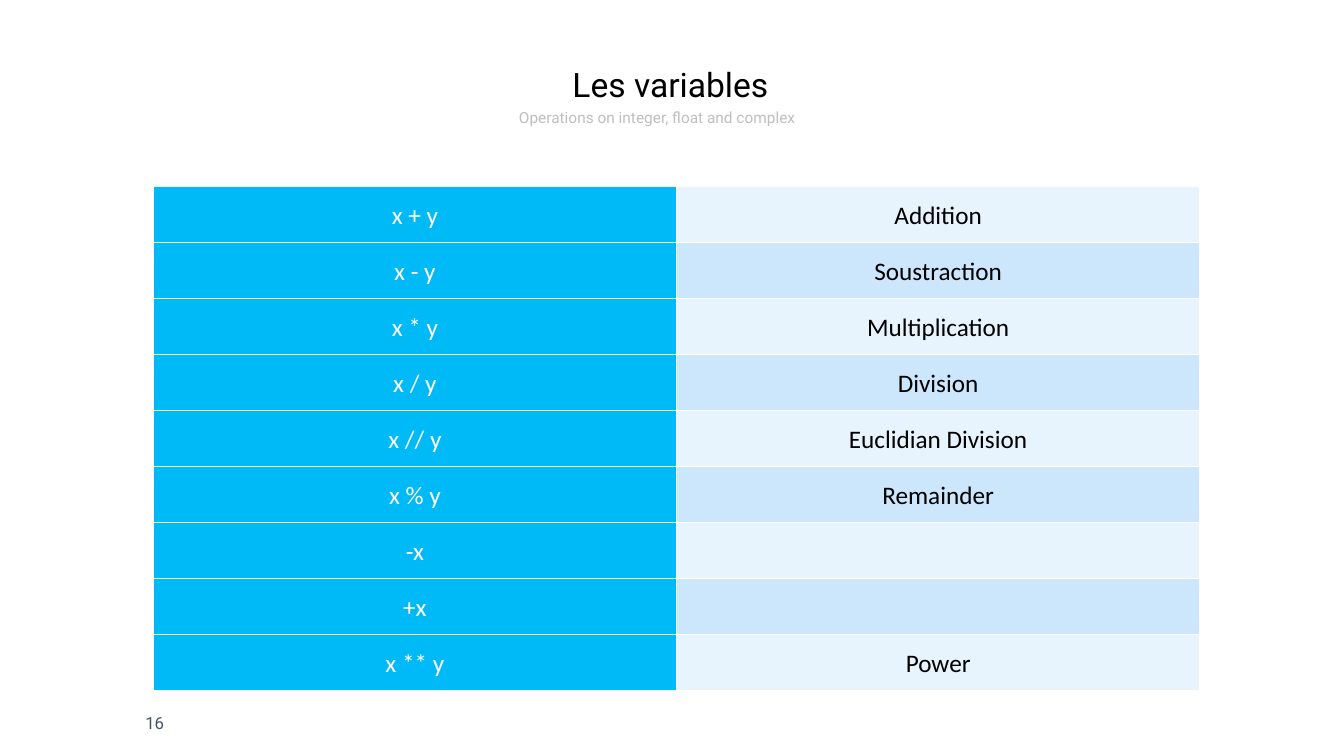
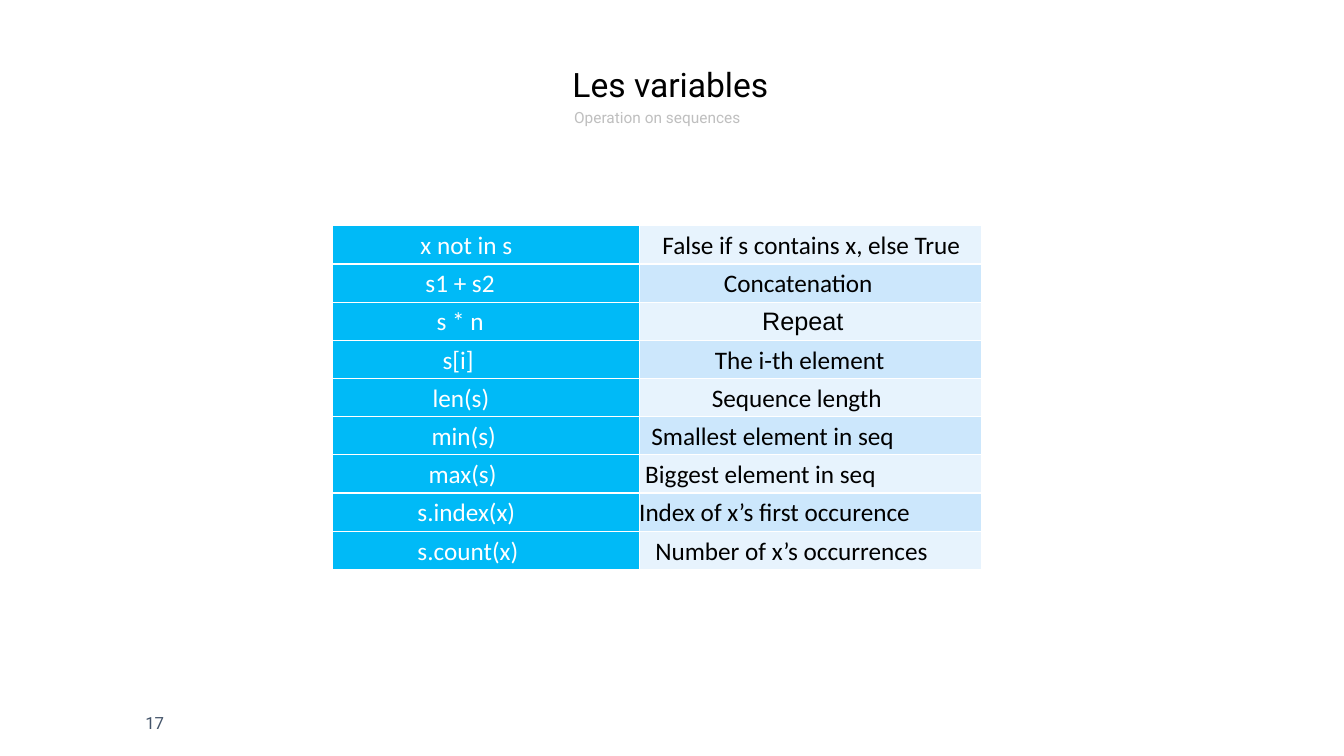
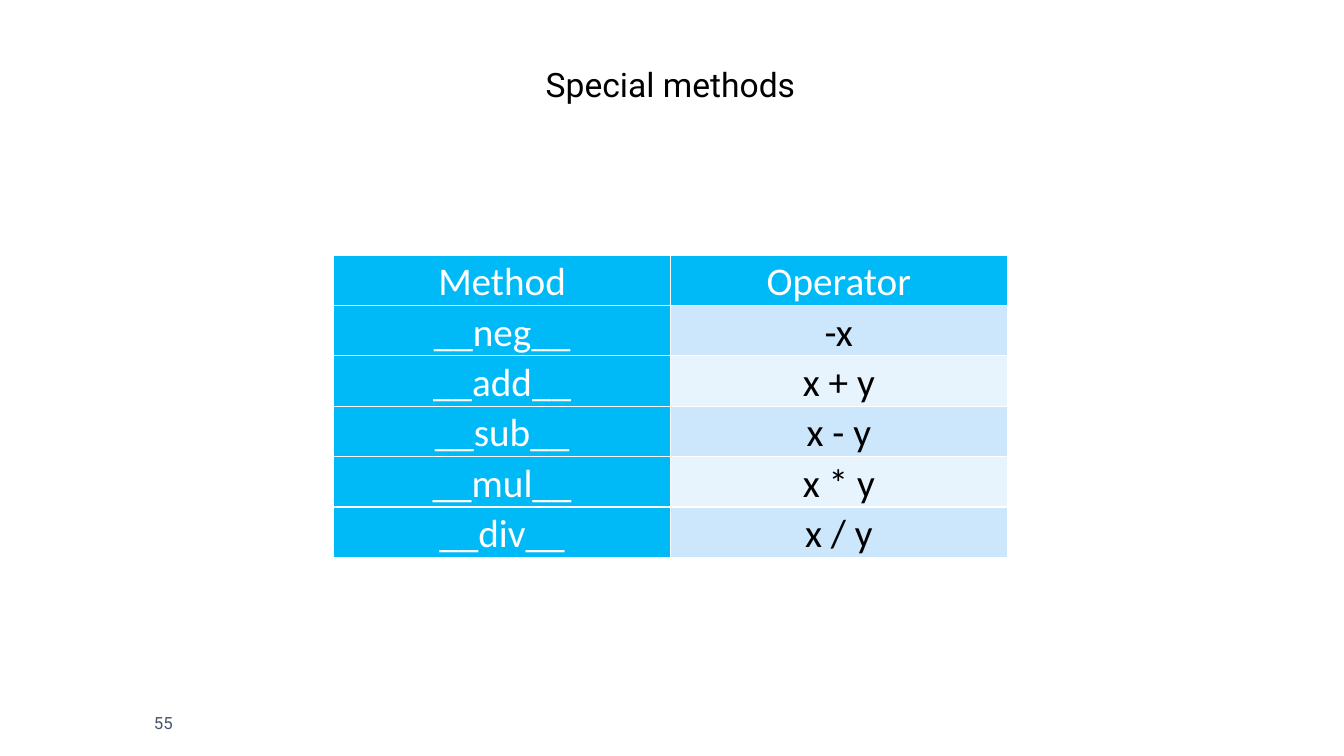
from lxml import etree
from pptx import Presentation
from pptx.dml.color import RGBColor
from pptx.enum.shapes import MSO_SHAPE as Shape
from pptx.enum.text import MSO_ANCHOR as Anchor, PP_ALIGN as Align
from pptx.oxml.ns import qn
from pptx.util import Inches, Pt

# Shared style
WHITE, BLACK = "FFFFFF", "000000"
ACCENT, BANDS = "00BAF7", ("E7F3FD", "CCE7FC")
SUBTITLE_GREY, NUMBER_BLUE = "BFBFBF", "44546A"
HEADING_FONT, TABLE_FONT = "Roboto", "Calibri"


def style(paragraph, font, size, color, align=Align.CENTER):
    paragraph.alignment = align
    paragraph.font.name = font
    paragraph.font.size = Pt(size)
    paragraph.font.color.rgb = RGBColor.from_string(color)


def outline(cell, color):
    properties = cell._tc.get_or_add_tcPr()
    for side in ("a:lnL", "a:lnR", "a:lnT", "a:lnB"):
        line = etree.SubElement(properties, qn(side), w=str(Pt(1)))
        fill = etree.SubElement(line, qn("a:solidFill"))
        etree.SubElement(fill, qn("a:srgbClr"), val=color)


# Content; "indents" gives the left indent of each cell of a left-aligned table
pages = [
    dict(
        title="Les variables", subtitle="Operations on integer, float and complex",
        number="16", number_width=0.55, header=False, size=18,
        left=1.52, top=1.85, columns=(5.19, 5.19), height=5, indents=None,
        rows=[
            ("x + y", "Addition"),
            ("x - y", "Soustraction"),
            ("x * y", "Multiplication"),
            ("x / y", "Division"),
            ("x // y", "Euclidian Division"),
            ("x % y", "Remainder"),
            ("-x", ""),
            ("+x", ""),
            ("x ** y", "Power"),
        ],
    ),
    dict(
        title="Les variables", subtitle="Operation on sequences",
        number="17", number_width=0.55, header=False, size=18,
        left=3.3, top=2.24, columns=(3.04, 3.4), height=3.41,
        indents=[(0.87, 0.23), (0.92, 0.84), (1.03, 1.22), (1.09, 0.75), (0.99, 0.72),
                 (0.98, 0.12), (0.95, 0.06), (0.84, 0), (0.84, 0.16)],
        rows=[
            ("x not in s", "False if s contains x, else True"),
            ("s1 + s2", "Concatenation"),
            ("s * n", "Repeat"),
            ("s[i]", "The i-th element"),
            ("len(s)", "Sequence length"),
            ("min(s)", "Smallest element in seq"),
            ("max(s)", "Biggest element in seq"),
            ("s.index(x)", "Index of x’s first occurence"),
            ("s.count(x)", "Number of x’s occurrences"),
        ],
    ),
    dict(
        title="Special methods", subtitle=None,
        number="55", number_width=0.72, header=True, size=28,
        left=3.31, top=2.53, columns=(3.34, 3.34), height=2.85, indents=None,
        rows=[
            ("Method", "Operator"),
            ("__neg__", "-x"),
            ("__add__", "x + y"),
            ("__sub__", "x - y"),
            ("__mul__", "x * y"),
            ("__div__", "x / y"),
        ],
    ),
]

deck = Presentation()
deck.slide_width, deck.slide_height = Inches(13.33), Inches(7.5)

for page in pages:
    slide = deck.slides.add_slide(deck.slide_layouts[5])

    # Footer plate behind the page number
    plate = slide.shapes.add_shape(
        Shape.RECTANGLE, Inches(0.53), Inches(6.74), Inches(2.93), Inches(0.77))
    plate.shadow.inherit = False
    plate.fill.solid()
    plate.fill.fore_color.rgb = RGBColor.from_string(WHITE)
    plate.line.color.rgb = RGBColor.from_string(WHITE)
    plate.line.width = Pt(1)

    # Title
    title = slide.shapes.title
    title.left, title.top = Inches(3.95), Inches(0.38)
    title.width, title.height = Inches(5.4), Inches(0.63)
    title.text_frame.text = page["title"]
    title.text_frame.vertical_anchor = Anchor.TOP
    heading = title.text_frame.paragraphs[0]
    heading.line_spacing = 1.5
    style(heading, HEADING_FONT, 24, BLACK)

    # Subtitle
    if page["subtitle"]:
        subtitle = slide.shapes.add_textbox(
            Inches(3.95), Inches(0.9), Inches(5.14), Inches(0.53)).text_frame
        subtitle.word_wrap = True
        subtitle.vertical_anchor = Anchor.MIDDLE
        subtitle.text = page["subtitle"]
        style(subtitle.paragraphs[0], HEADING_FONT, 11, SUBTITLE_GREY)

    # Page number
    number = slide.shapes.add_textbox(
        Inches(1.26), Inches(7.02), Inches(page["number_width"]), Inches(0.3)).text_frame
    number.word_wrap = True
    number.text = page["number"]
    style(number.paragraphs[0], HEADING_FONT, 12, NUMBER_BLUE)

    # Table
    rows, indents = page["rows"], page["indents"]
    table = slide.shapes.add_table(
        len(rows), 2, Inches(page["left"]), Inches(page["top"]),
        Inches(sum(page["columns"])), Inches(page["height"])).table
    table.first_row, table.first_col = page["header"], True
    table.horz_banding = False
    for column, width in zip(table.columns, page["columns"]):
        column.width = Inches(width)

    for r, row in enumerate(rows):
        for c, text in enumerate(row):
            accented = c == 0 or (page["header"] and r == 0)
            cell = table.cell(r, c)
            outline(cell, WHITE)
            cell.fill.solid()
            cell.fill.fore_color.rgb = RGBColor.from_string(ACCENT if accented else BANDS[r % 2])
            cell.vertical_anchor = Anchor.MIDDLE
            cell.margin_top = cell.margin_bottom = 0
            cell.margin_left = 0 if indents else Inches(0.08)
            cell.margin_right = Inches(0.08)
            cell.text = text
            entry = cell.text_frame.paragraphs[0]
            entry.line_spacing = 1.07
            if indents:
                entry._p.get_or_add_pPr().set("marL", str(Inches(indents[r][c])))
            style(entry, "Arial" if text == "Repeat" else TABLE_FONT, page["size"],
                  WHITE if accented else BLACK, Align.LEFT if indents else Align.CENTER)
            entry.font.bold = False

deck.save("out.pptx")
